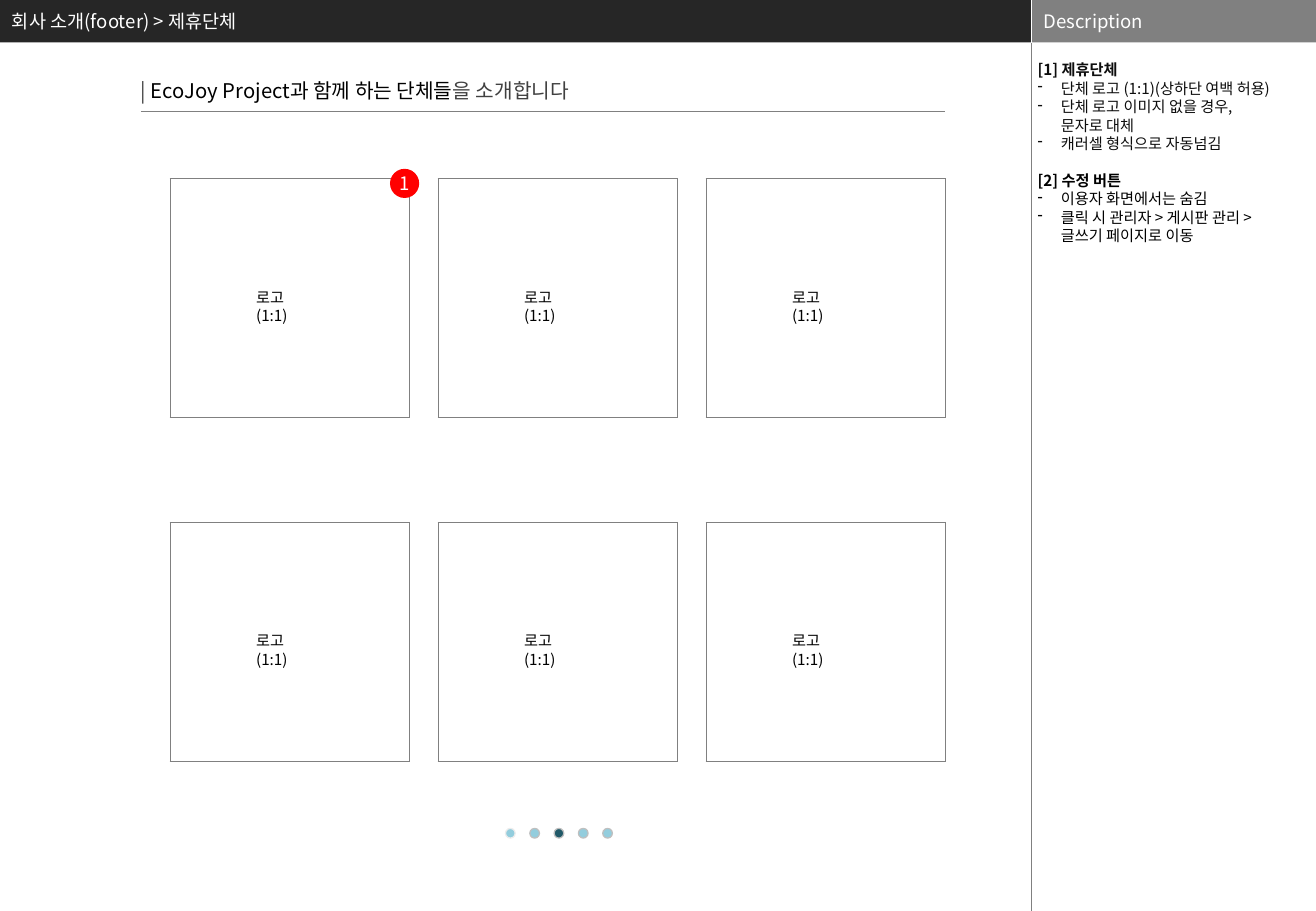
from pptx import Presentation
from pptx.dml.color import RGBColor
from pptx.enum.shapes import MSO_CONNECTOR, MSO_SHAPE
from pptx.enum.text import MSO_ANCHOR, PP_ALIGN
from pptx.oxml.ns import qn
from pptx.util import Inches, Pt
from lxml import etree

RECTANGLE, OVAL = MSO_SHAPE.RECTANGLE, MSO_SHAPE.OVAL
STRAIGHT = MSO_CONNECTOR.STRAIGHT
TOP, MIDDLE = MSO_ANCHOR.TOP, MSO_ANCHOR.MIDDLE
LEFT, CENTER = PP_ALIGN.LEFT, PP_ALIGN.CENTER

FONT = "Noto Sans CJK KR"
BLACK = RGBColor(0x00, 0x00, 0x00)
WHITE = RGBColor(0xFF, 0xFF, 0xFF)
DARK = RGBColor(0x26, 0x26, 0x26)
INK = RGBColor(0x0D, 0x0D, 0x0D)
TEXT_GRAY = RGBColor(0x40, 0x40, 0x40)
GRAY = RGBColor(0x80, 0x80, 0x80)
RED = RGBColor(0xFF, 0x00, 0x00)
DOT = RGBColor(0x93, 0xCD, 0xDD)
ACTIVE_DOT = RGBColor(0x21, 0x59, 0x68)
DOT_LINE = RGBColor(0xBF, 0xBF, 0xBF)
PALE_LINE = RGBColor(0xEC, 0xEC, 0xEC)

WIDTH, HEIGHT = 10.83, 7.5
BAR = 0.35            # height of the header
SPLIT = 8.49          # left edge of the description panel
LINE_RATIO = 1.21     # line pitch relative to text size

NOTES = [
    ("[1] 제휴단체", INK, [
        "단체 로고 (1:1)(상하단 여백 허용)",
        "단체 로고 이미지 없을 경우,\v문자로 대체",
        "캐러셀 형식으로 자동넘김"]),
    ("[2] 수정 버튼", BLACK, [
        "이용자 화면에서는 숨김",
        "클릭 시 관리자 > 게시판 관리 >\v글쓰기 페이지로 이동"]),
]


def add_box(shapes, kind, box, fill, line=None):
    shape = shapes.add_shape(kind, *map(Inches, box))
    shape.shadow.inherit = False
    shape.fill.solid()
    shape.fill.fore_color.rgb = fill
    if line is None:
        shape.line.fill.background()
    else:
        shape.line.color.rgb = line
        shape.line.width = Pt(0.75)
    return shape


def add_line(slide, start, end, color, width):
    line = slide.shapes.add_connector(STRAIGHT, *map(Inches, start + end))
    line.line.color.rgb = color
    line.line.width = Pt(width)
    etree.SubElement(line._element.spPr, qn("a:effectLst"))


def set_frame(shape, anchor=TOP, insets=(0.1, 0.05), wrap=True):
    frame = shape.text_frame
    frame.word_wrap = wrap
    frame.vertical_anchor = anchor
    frame.margin_left = frame.margin_right = Inches(insets[0])
    frame.margin_top = frame.margin_bottom = Inches(insets[1])
    return frame


def style(paragraph, size, color, bold=False, align=LEFT):
    font = paragraph.font
    font.name, font.size, font.bold = FONT, Pt(size), bold
    font.color.rgb = color
    east_asian = etree.SubElement(font._element, qn("a:ea"))
    east_asian.set("typeface", FONT)
    paragraph.alignment = align
    paragraph.line_spacing = Pt(size * LINE_RATIO)


def write(shape, text, size, color, align=LEFT, **frame_options):
    paragraph = set_frame(shape, **frame_options).paragraphs[0]
    paragraph.text = text
    style(paragraph, size, color, align=align)


def add_bullet(paragraph, indent):
    properties = paragraph._p.get_or_add_pPr()
    properties.set("marL", str(Inches(indent)))
    properties.set("indent", str(-Inches(indent)))
    bullet = etree.Element(qn("a:buChar"), char="-")
    properties.find(qn("a:defRPr")).addprevious(bullet)


def build_header(slide, left, width, text, fill):
    bar = add_box(slide.shapes, RECTANGLE, (left, 0, width, BAR), fill)
    write(bar, text, 11, WHITE, anchor=MIDDLE)


def build_description(slide, left, top, width, height):
    add_line(slide, (left, 0), (left, top), WHITE, 0.25)
    add_line(slide, (left, top), (left, top + height), GRAY, 0.25)
    gap = 0.15
    box = slide.shapes.add_textbox(
        *map(Inches, (left + 0.01, top + gap, width, height - gap)))
    frame = set_frame(box, insets=(0.04, 0))
    paragraph = frame.paragraphs[0]
    for index, (heading, color, items) in enumerate(NOTES):
        if index:
            paragraph = frame.add_paragraph()
            paragraph.space_before = Pt(11)
        paragraph.text = heading
        style(paragraph, 9, color, bold=True)
        for item in items:
            paragraph = frame.add_paragraph()
            paragraph.text = item
            style(paragraph, 9, color)
            add_bullet(paragraph, 0.19)


def build_heading(slide, left, top, width):
    box = slide.shapes.add_textbox(*map(Inches, (left, top, width, 0.2)))
    paragraph = set_frame(box, insets=(0, 0)).paragraphs[0]
    style(paragraph, 12, TEXT_GRAY)
    for text, color in (("| ", TEXT_GRAY),
                        ("EcoJoy Project과 함께 하는 단체들", BLACK),
                        ("을 소개합니다", TEXT_GRAY)):
        run = paragraph.add_run()
        run.text = text
        run.font.color.rgb = color
    add_line(slide, (left, top + 0.28), (left + width, top + 0.28), GRAY, 0.5)


def add_logo_frame(slide, left, top, side):
    table = slide.shapes.add_table(
        1, 1, *map(Inches, (left, top, side, side))).table
    table.first_row = table.horz_banding = False
    cell = table.cell(0, 0)
    cell.fill.background()
    properties = cell._tc.get_or_add_tcPr()
    for index, edge in enumerate(("a:lnL", "a:lnR", "a:lnT", "a:lnB")):
        border = etree.Element(qn(edge), w=str(Pt(0.5)))
        fill = etree.SubElement(border, qn("a:solidFill"))
        etree.SubElement(fill, qn("a:srgbClr"), val=str(GRAY))
        properties.insert(index, border)
    label = add_box(slide.shapes, RECTANGLE,
                    (left + 0.61, top + 0.85, 0.74, 0.4), WHITE)
    write(label, "로고\v(1:1)", 9, BLACK)


def build_logo_grid(slide, left, top, width, height, columns=3, rows=2):
    side = 1.97
    column_step = (width - side) / (columns - 1)
    row_step = (height - side) / (rows - 1)
    for row in range(rows):
        for column in range(columns):
            add_logo_frame(slide, left + column * column_step,
                           top + row * row_step, side)
    # Numbered marker on the first frame
    badge = add_box(slide.shapes, OVAL,
                    (left + 1.81, top - 0.08, 0.24, 0.24), RED)
    write(badge, "1", 11, WHITE, align=CENTER,
          anchor=MIDDLE, insets=(0, 0), wrap=False)


def build_pager(slide, left, top, step, count=5, active=2):
    group = slide.shapes.add_group_shape()
    for index in range(count):
        add_box(group.shapes, OVAL, (left + index * step, top, 0.08, 0.08),
                ACTIVE_DOT if index == active else DOT,
                DOT_LINE if index else PALE_LINE)


def main():
    presentation = Presentation()
    presentation.slide_width = Inches(WIDTH)
    presentation.slide_height = Inches(HEIGHT)
    slide = presentation.slides.add_slide(presentation.slide_layouts[6])

    # Header bars and description panel
    build_header(slide, 0, SPLIT, "회사 소개(footer) > 제휴단체", DARK)
    build_header(slide, SPLIT, WIDTH - SPLIT, "Description", GRAY)
    build_description(slide, SPLIT, BAR, WIDTH - SPLIT, HEIGHT - BAR)

    # Page body
    build_heading(slide, 1.16, 0.64, 6.62)
    build_logo_grid(slide, 1.4, 1.47, 6.38, 4.8)
    build_pager(slide, 4.16, 6.82, 0.2)

    presentation.save("out.pptx")


if __name__ == "__main__":
    main()
